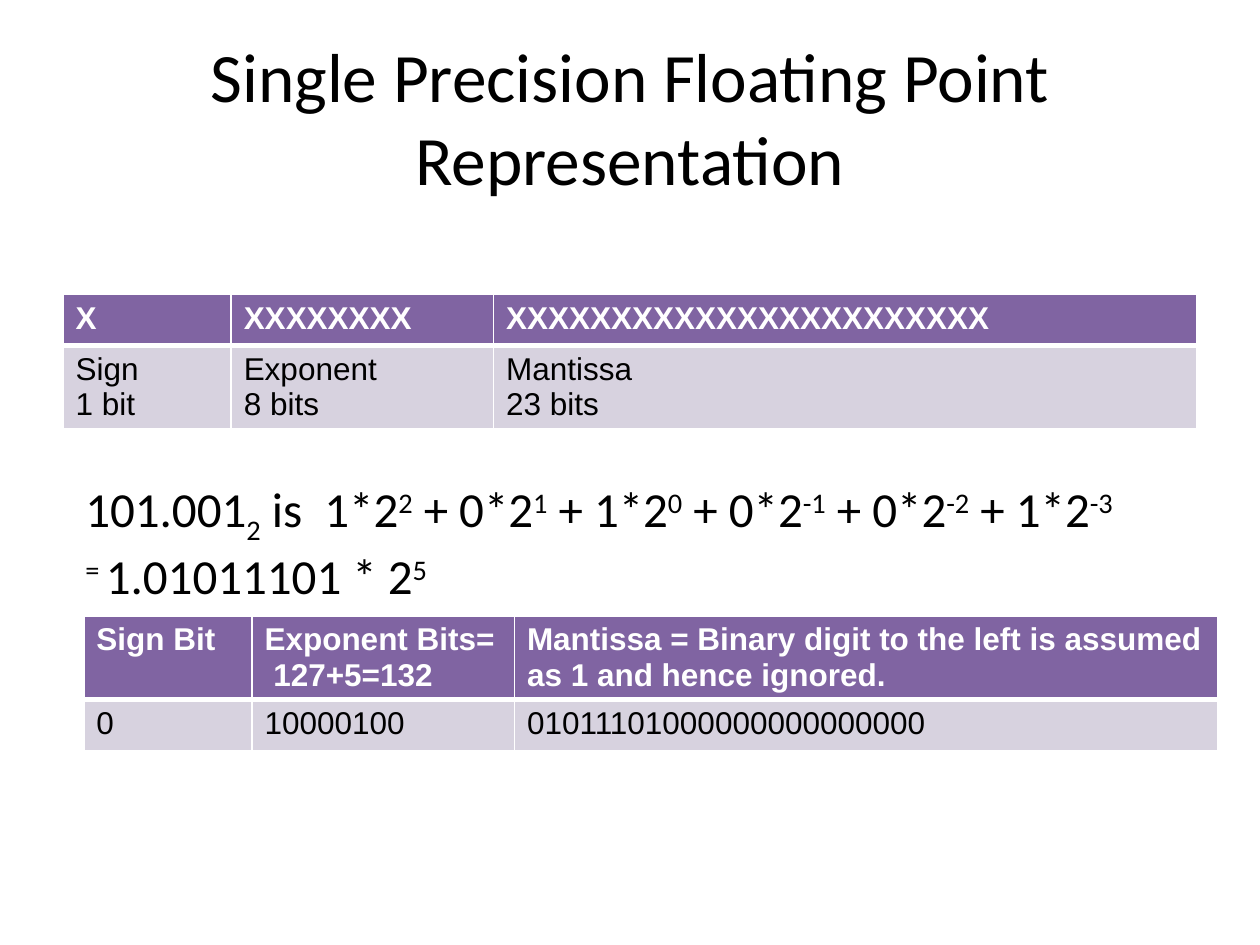
from dataclasses import dataclass

from lxml import etree
from pptx import Presentation
from pptx import util as u
from pptx.dml.color import RGBColor
from pptx.enum import text
from pptx.oxml.ns import qn

BLACK = RGBColor(0x00, 0x00, 0x00)
WHITE = RGBColor(0xFF, 0xFF, 0xFF)
PURPLE = RGBColor(0x80, 0x64, 0xA2)
LILAC = RGBColor(0xD7, 0xD2, 0xDF)

COLUMN_WIDTHS = (3.39, 5.29, 14.18)
ROW_HEIGHT = 1.03
NO_BREAK = "\u00a0"
SUBSCRIPT, SUPERSCRIPT = -25, 30


@dataclass
class BitTable:
    left: float
    top: float
    header: tuple[str, ...]
    body: tuple[str, ...]


@dataclass
class Piece:
    wording: str
    baseline: int = 0


BIT_TABLES = (
    BitTable(1.27, 5.93, ("X", "X" * 8, "X" * 23),
             ("Sign\n1 bit", "Exponent\n8 bits", "Mantissa\n23 bits")),
    BitTable(1.69, 12.42,
             ("Sign Bit", f"Exponent Bits= {NO_BREAK}127+5=132",
              "Mantissa = Binary digit to the left is assumed as 1 and hence ignored."),
             ("0", "10000100", "01011101" + "0" * 15)),
)

# Binary expansion: digit and power of two for each place
PLACES = ((1, 2), (0, 1), (1, 0), (0, -1), (0, -2), (1, -3))


def expansion() -> list[Piece]:
    pieces = [Piece("101.001"), Piece("2", SUBSCRIPT)]
    lead = f" is {NO_BREAK}"
    for digit, power in PLACES:
        pieces += [Piece(f"{lead}{digit}*2"), Piece(str(power), SUPERSCRIPT)]
        lead = f"{NO_BREAK}+ "
    return pieces


def add_span(para, wording: str, font: str, size: float, color: RGBColor,
             bold: bool = False, baseline: int = 0) -> None:
    span = para.add_run()
    span.text = wording
    span.font.name = font
    span.font.size = u.Pt(size)
    span.font.bold = bold
    span.font.color.rgb = color
    if baseline:
        span.font._element.set("baseline", str(baseline * 1000))


def set_borders(cell, widths: dict[str, float]) -> None:
    properties = cell._tc.get_or_add_tcPr()
    for index, (side, width) in enumerate(widths.items()):
        line = etree.Element(qn(f"a:{side}"), w=str(u.Pt(width)))
        solid = etree.SubElement(line, qn("a:solidFill"))
        etree.SubElement(solid, qn("a:srgbClr"), val=str(WHITE))
        properties.insert(index, line)


def add_bit_table(page, spec_row: BitTable) -> None:
    frame = page.shapes.add_table(
        2, len(COLUMN_WIDTHS), u.Cm(spec_row.left), u.Cm(spec_row.top),
        u.Cm(sum(COLUMN_WIDTHS)), u.Cm(2 * ROW_HEIGHT))
    table = frame.table
    for column, width in zip(table.columns, COLUMN_WIDTHS):
        column.width = u.Cm(width)
    for row_index, wordings in enumerate((spec_row.header, spec_row.body)):
        table.rows[row_index].height = u.Cm(ROW_HEIGHT)
        is_header = row_index == 0
        for column_index, wording in enumerate(wordings):
            cell = table.cell(row_index, column_index)
            cell.fill.solid()
            cell.fill.fore_color.rgb = PURPLE if is_header else LILAC
            set_borders(cell, {"lnL": 1, "lnR": 1, "lnT": 1 if is_header else 3,
                               "lnB": 3 if is_header else 1})
            for line_index, line in enumerate(wording.split("\n")):
                frame_text = cell.text_frame
                para = frame_text.add_paragraph() if line_index else frame_text.paragraphs[0]
                add_span(para, line, "Arial", 18, WHITE if is_header else BLACK, is_header)


deck = Presentation()
deck.slide_width, deck.slide_height = u.Cm(25.4), u.Cm(19.05)
page = deck.slides.add_slide(deck.slide_layouts[5])

# Title
title = page.shapes.title
title.left, title.top, title.width, title.height = map(u.Cm, (1.27, 0.76, 22.86, 3.18))
title.text_frame.vertical_anchor = text.MSO_ANCHOR.MIDDLE
title_para = title.text_frame.paragraphs[0]
title_para.alignment = text.PP_ALIGN.CENTER
add_span(title_para, "Single Precision Floating Point Representation", "Calibri", 39.6, BLACK)

# Bit layout and worked example
for bit_table in BIT_TABLES:
    add_bit_table(page, bit_table)

# Binary expansion and normalised form
box = page.shapes.add_textbox(*map(u.Cm, (1.47, 9.53, 22.12, 2.64)))
box.text_frame.word_wrap = True
normalised = [Piece("= ", SUPERSCRIPT), Piece("1.01011101 * 2"), Piece("5", SUPERSCRIPT)]
for para, pieces in ((box.text_frame.paragraphs[0], expansion()),
                     (box.text_frame.add_paragraph(), normalised)):
    for piece in pieces:
        add_span(para, piece.wording, "Calibri", 28, BLACK, baseline=piece.baseline)

deck.save("out.pptx")
